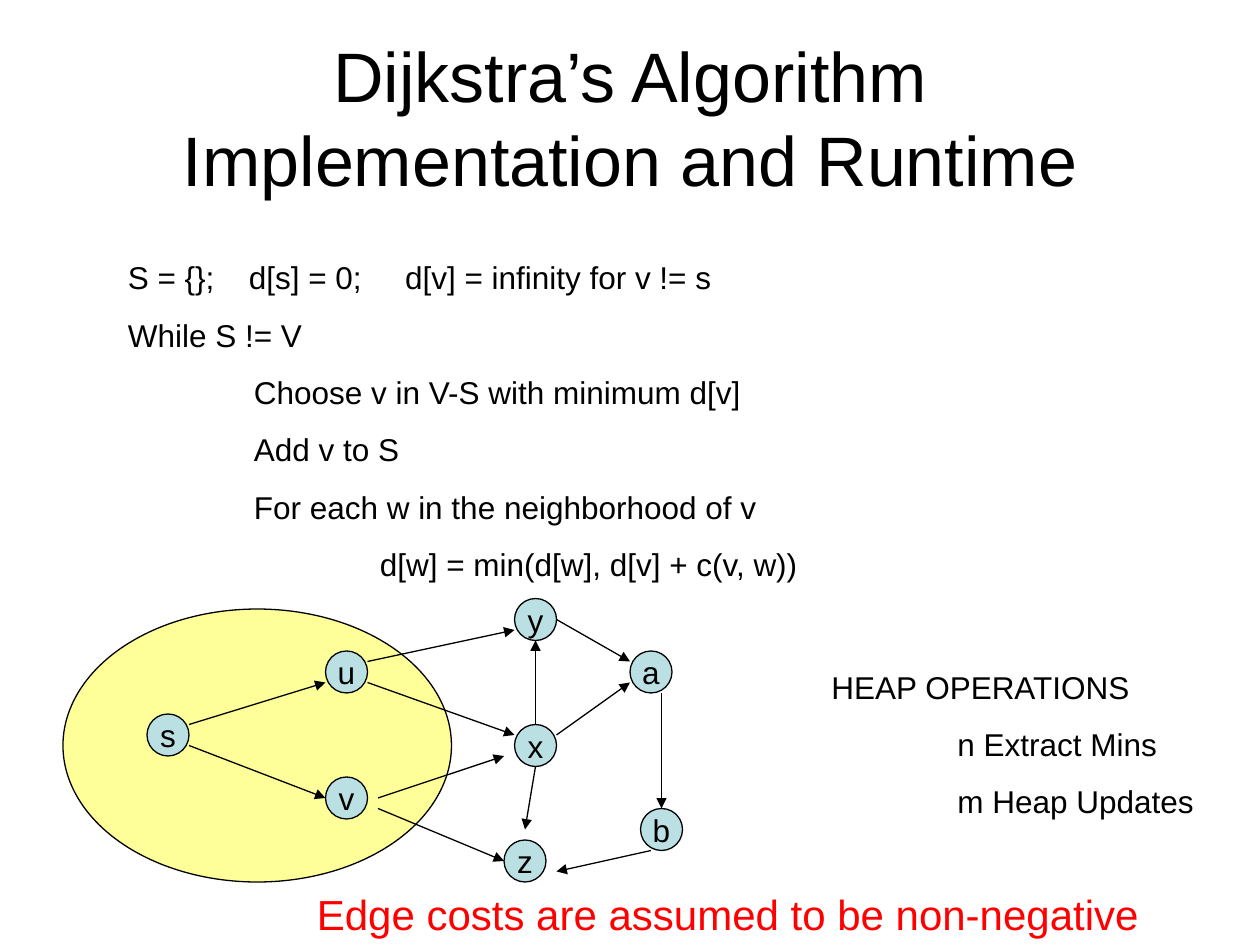
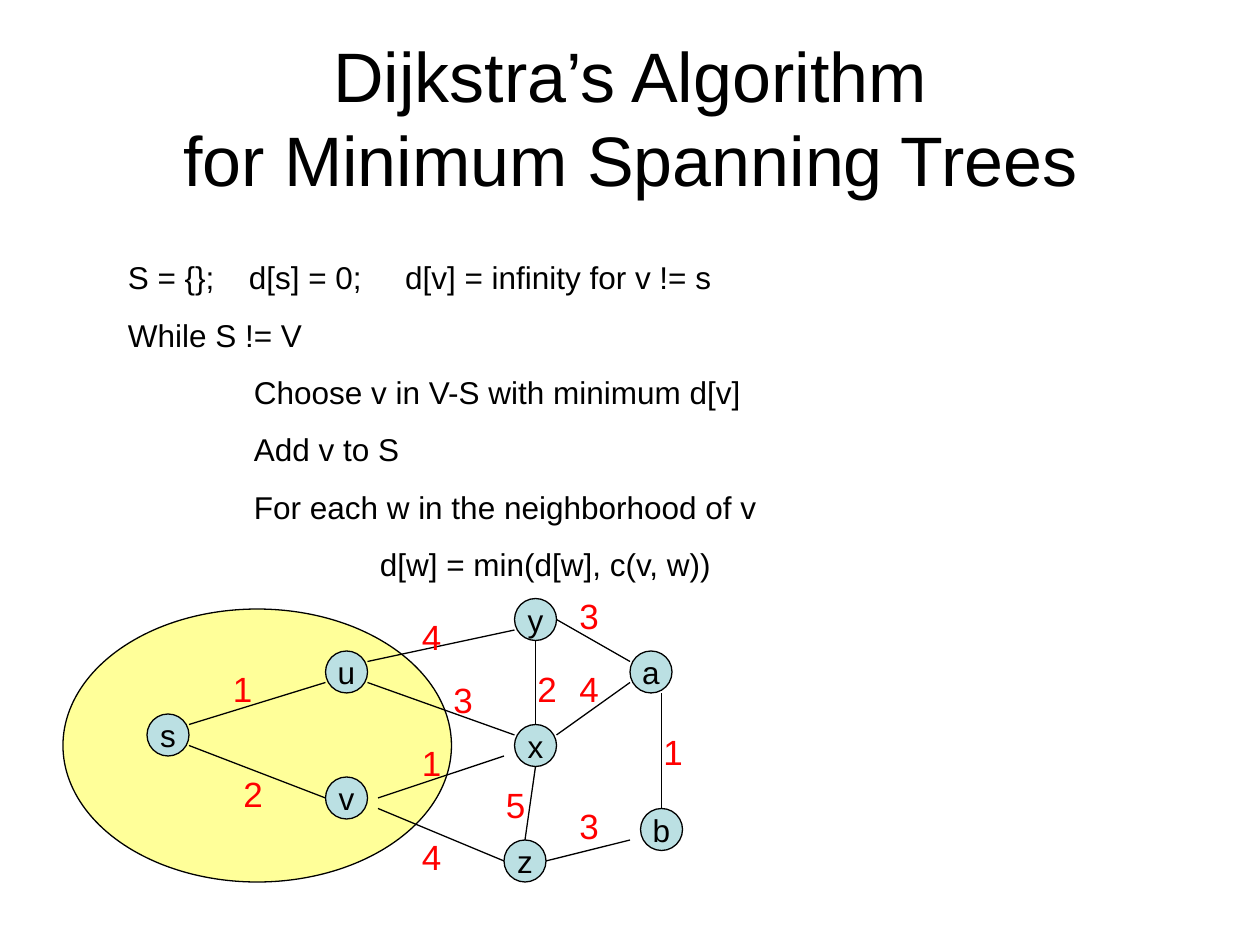
from lxml import etree
from pptx import Presentation
from pptx.dml.color import RGBColor
from pptx.enum.shapes import MSO_CONNECTOR, MSO_SHAPE
from pptx.enum.text import MSO_ANCHOR, MSO_AUTO_SIZE, PP_ALIGN
from pptx.oxml.ns import qn
from pptx.util import Inches, Pt

STRAIGHT = MSO_CONNECTOR.STRAIGHT
OVAL = MSO_SHAPE.OVAL
MIDDLE = MSO_ANCHOR.MIDDLE
CENTER = PP_ALIGN.CENTER
NO_FIT = MSO_AUTO_SIZE.NONE

COLORS = {"ink": "000000", "node": "BBE0E3", "visited": "FFFF99", "accent": "FF0000"}
FONT = "Arial"
LINE_WIDTH = Pt(0.75)

# Grid of 120 columns by 90 rows
deck = Presentation()
deck.slide_width, deck.slide_height = Inches(10), Inches(7.5)
CELL = deck.slide_width // 120
NODE_SIZE = 4


def write(shape, lines, size, color="ink", align=None, gap=0):
    """Fill a shape with (indent in inches, text) lines and format them."""
    frame = shape.text_frame
    for index, (indent, text) in enumerate(lines):
        para = frame.paragraphs[0] if index == 0 else frame.add_paragraph()
        para.text = text
        para.alignment = align
        para.line_spacing = Pt(size * 1.2)
        if index:
            para.space_before = Pt(gap)
        properties = para._p.get_or_add_pPr()
        if indent:
            properties.set("marL", str(Inches(indent)))
        if "\t" in text:
            stops = etree.SubElement(properties, qn("a:tabLst"))
            for stop in TAB_STOPS:
                etree.SubElement(stops, qn("a:tab"), pos=str(Inches(stop)), algn="l")
        for span in para.runs:
            span.font.name = FONT
            span.font.size = Pt(size)
            span.font.color.rgb = RGBColor.from_string(COLORS[color])


def add_oval(page, column, row, width, height, fill):
    oval = page.shapes.add_shape(OVAL, column * CELL, row * CELL, width * CELL, height * CELL)
    oval.shadow.inherit = False
    oval.fill.solid()
    oval.fill.fore_color.rgb = RGBColor.from_string(COLORS[fill])
    oval.line.color.rgb = RGBColor.from_string(COLORS["ink"])
    oval.line.width = LINE_WIDTH
    return oval


# Shared content
TAB_STOPS = (0.96, 2.2)
ALGORITHM = [
    (0, "S = {};\td[s] = 0;\td[v] = infinity for v != s"),
    (0, "While S != V"),
    (1, "Choose v in V-S with minimum d[v]"),
    (1, "Add v to S"),
    (1, "For each w in the neighborhood of v"),
]
NODES = {
    "s": (14, 68), "u": (31, 62), "v": (31, 74), "z": (48, 80),
    "y": (49, 57), "x": (49, 69), "a": (60, 62), "b": (61, 77),
}
# Start, end, cost and the cell of the cost label
EDGES = {
    "su": ((18, 69), (31, 65), "1", (21, 63)),
    "sv": ((18, 71), (31, 76), "2", (22, 73)),
    "uy": ((35, 63), (49, 60), "4", (39, 58)),
    "ux": ((35, 65), (49, 70), "3", (42, 64)),
    "vx": ((36, 76), (48, 72), "1", (39, 70)),
    "vz": ((36, 77), (48, 82), "4", (39, 79)),
    "xy": ((51, 69), (51, 61), "2", (50, 63)),
    "xz": ((51, 73), (50, 80), "5", (47, 74)),
    "xa": ((53, 70), (60, 65), "4", (54, 63)),
    "ya": ((53, 59), (60, 63), "3", (54, 56)),
    "ab": ((63, 66), (63, 77), "1", (62, 69)),
    "bz": ((60, 80), (52, 82), "3", (54, 76)),
}
DIRECTED_ENDS = {"xz": ((51, 73), (50, 79)), "bz": ((62, 81), (53, 83))}

# Title, last algorithm line, whether the graph is directed,
# and notes as (column, row, width, height, lines, size, color)
SLIDES = [
    ("Dijkstra’s Algorithm\vImplementation and Runtime",
     "d[w] = min(d[w], d[v] + c(v, w))", True,
     [(29, 84, 91, 6, [(0, "Edge costs are assumed to be non-negative")], 24, "accent"),
      (78, 63, 38, 16, [(0, "HEAP OPERATIONS"), (1, "n Extract Mins"),
                        (1, "m Heap Updates")], 18, "ink")]),
    ("Dijkstra’s Algorithm\vfor Minimum Spanning Trees",
     "d[w] = min(d[w], c(v, w))", False,
     [(*cell, 4.2, 5.3, [(0, cost)], 20, "accent") for _, _, cost, cell in EDGES.values()]),
]

for title_text, update_line, directed, notes in SLIDES:
    page = deck.slides.add_slide(deck.slide_layouts[5])

    # Title
    title = page.shapes.title
    title.left, title.top = 6 * CELL, Inches(0.3)
    title.width, title.height = 108 * CELL, 15 * CELL
    title.text_frame.auto_size = NO_FIT
    title.text_frame.vertical_anchor = MIDDLE
    write(title, [(0, title_text)], 40, align=CENTER)

    # Visited set and nodes
    add_oval(page, 6, 58, 37, 26, "visited")
    for name, (column, row) in NODES.items():
        node = add_oval(page, column, row, NODE_SIZE, NODE_SIZE, "node")
        node.text_frame.word_wrap = False
        node.text_frame.vertical_anchor = MIDDLE
        write(node, [(0, name)], 18, align=CENTER)

    # Edges
    for name, (start, end, _, _) in EDGES.items():
        if directed:
            start, end = DIRECTED_ENDS.get(name, (start, end))
        edge = page.shapes.add_connector(STRAIGHT, *(place * CELL for place in start + end))
        edge.line.color.rgb = RGBColor.from_string(COLORS["ink"])
        edge.line.width = LINE_WIDTH
        if directed:
            etree.SubElement(edge.line._get_or_add_ln(), qn("a:tailEnd"), type="triangle")
        etree.SubElement(edge._element.spPr, qn("a:effectLst"))

    # Algorithm, then notes or edge costs
    algorithm = (11, 24, 106, 32, ALGORITHM + [(2, update_line)], 18, "ink")
    for column, row, width, height, lines, size, color in [algorithm] + notes:
        box = page.shapes.add_textbox(*(round(cells * CELL) for cells in (column, row, width, height)))
        box.text_frame.word_wrap = len(lines) > 1
        write(box, lines, size, color, gap=11.2)

deck.save("out.pptx")
